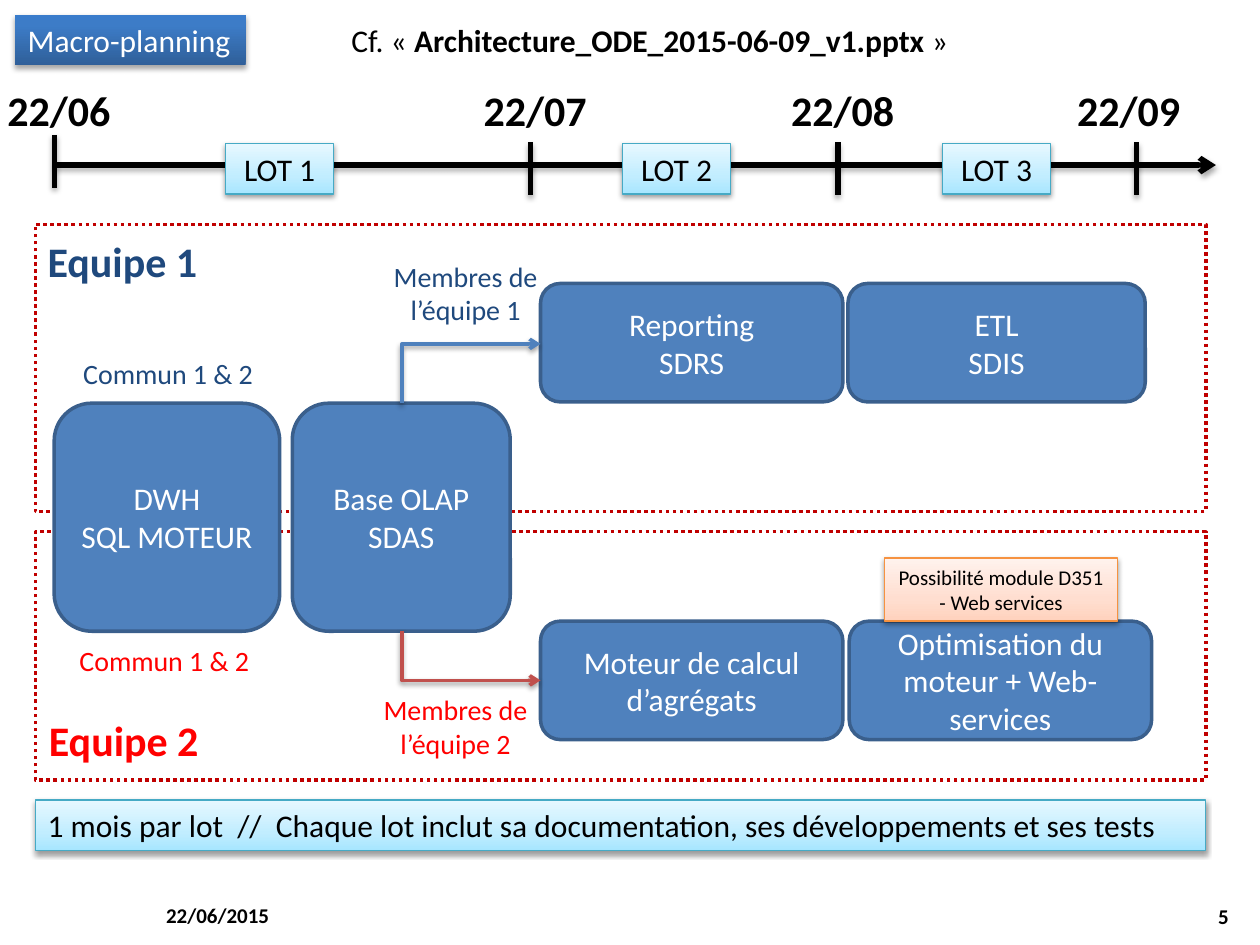
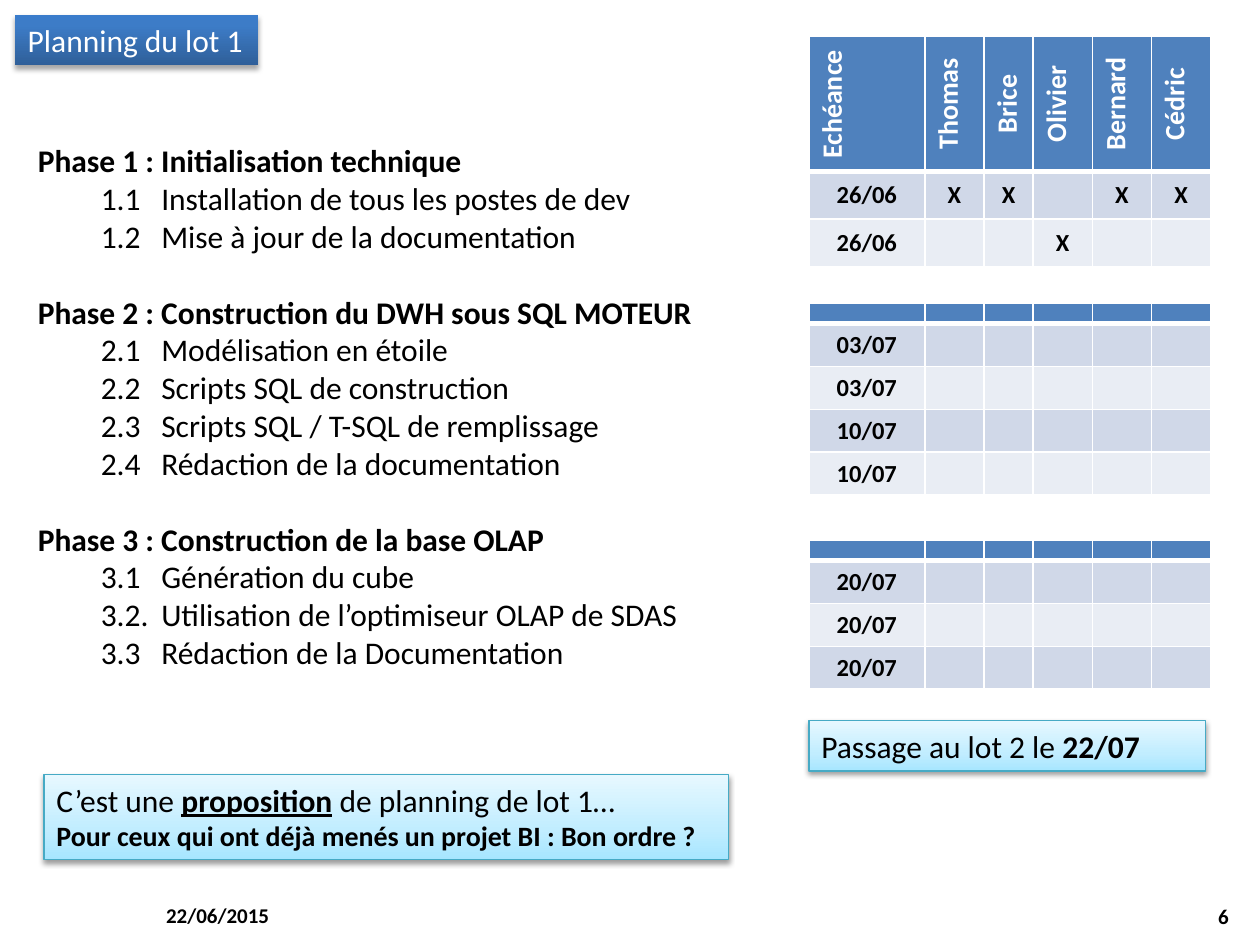
from pptx import Presentation, util as u
from pptx.dml.color import RGBColor
from pptx.enum import dml, shapes, text
from pptx.oxml import parse_xml
from pptx.oxml.ns import nsdecls, qn
from lxml import etree

# ---- shared look ----
FONT = "Calibri"
BLACK, WHITE, BLUE, EDGE = "000000", "FFFFFF", "4F81BD", "3A5F8C"
NAVY, RED, DARK, BRICK = "1F497D", "FF0000", "C00000", "C0504D"
BANDS = ["D0D8E8", "E9EDF4"]
# style: gradient stops, line colour, shadow (opacity, distance)
NAVY_BOX = ([(0, "2F5F99"), (80, "3D7CC7"), (100, "3A7CCB")], None, (35, 1.8))
SKY_BOX = ([(0, "A7E6FF"), (35, "C1EDFF"), (100, "E7F8FF")], "46AAC5", (38, 1.6))
PEACH_BOX = ([(0, "FFD2BD"), (35, "FFDED0"), (100, "FFF2ED")], "F69240", (38, 1.6))
LEFT, MID, RIGHT = (text.PP_ALIGN.LEFT, text.PP_ALIGN.CENTER,
                    text.PP_ALIGN.RIGHT)
DATE = "22/06/2015"
EDGE_L, WIDE, BAR = 0.28, 9.29, 0.4

# ---- slide 1 content ----
# date, tick x, label x, tick top
DATES = [("22/06", 0.43, -0.04, 1.07), ("22/07", 4.21, 3.74, 1.13),
         ("22/08", 6.65, 6.18, 1.13), ("22/09", 9.02, 8.45, 1.13)]
LOTS = [("LOT 1", 1.79), ("LOT 2", 4.94), ("LOT 3", 7.48)]
FRAMES = [(1.78, 2.28), (4.22, 1.97)]
ROWS = {"common": (3.2, 1.81), "top": (2.25, 0.94), "low": (4.93, 0.94)}
CARDS = [("common", 0.43, 1.79, ["DWH", "SQL MOTEUR"]),
         ("common", 2.32, 1.73, ["Base OLAP", "SDAS"]),
         ("top", 4.29, 2.4, ["Reporting", "SDRS"]),
         ("top", 6.73, 2.36, ["ETL", "SDIS"]),
         ("low", 4.29, 2.4, ["Moteur de calcul d’agrégats"]),
         ("low", 6.74, 2.4, ["Optimisation du moteur + Web-services"])]
TEAMS = [("Equipe 1", EDGE_L, 1.82, NAVY), ("Equipe 2", 0.29, 5.62, RED)]
# text, x, y, width, height, colour
NOTES = [("Membres de l’équipe 1", 3.02, 2.01, 1.35, 0.64, NAVY),
         ("Membres de l’équipe 2", 2.94, 5.45, 1.35, 0.64, RED),
         ("Commun 1 & 2", 0.55, 2.78, 1.57, 0.37, NAVY),
         ("Commun 1 & 2", 0.52, 5.06, 1.57, 0.37, RED)]
# start y, end y, colour
ELBOWS = [(3.2, 2.73, BLUE), (5.01, 5.4, BRICK)]
SUMMARY = ("1 mois par lot  //  Chaque lot inclut sa documentation, "
           "ses développements et ses tests")

# ---- slide 2 content ----
PHASES = [
    ("Phase 1 : Initialisation technique",
     [("1.1", "Installation de tous les postes de dev"),
      ("1.2", "Mise à jour de la documentation")]),
    ("Phase 2 : Construction du DWH sous SQL MOTEUR",
     [("2.1", "Modélisation en étoile"),
      ("2.2", "Scripts SQL de construction"),
      ("2.3", "Scripts SQL / T-SQL de remplissage"),
      ("2.4", "Rédaction de la documentation")]),
    ("Phase 3 : Construction de la base OLAP",
     [("3.1", "Génération du cube"),
      ("3.2.", "Utilisation de l’optimiseur OLAP de SDAS"),
      ("3.3", "Rédaction de la Documentation")])]
COLS = [0.92, 0.47, 0.39, 0.47, 0.47, 0.47]
HEAD = ["Echéance", "Thomas", "Brice", "Olivier", "Bernard", "Cédric"]
NONE = [""] * 6
# top, head height, row height, rows of cells
GRIDS = [
    (0.29, 1.07, 0.38, [HEAD, ["26/06", "X", "X", "", "X", "X"],
                        ["26/06", "", "", "X", "", ""]]),
    (2.41, 0.16, 0.34, [NONE] + [[d] + NONE[1:] for d in
                                 ("03/07", "03/07", "10/07", "10/07")]),
    (4.29, 0.16, 0.34, [NONE] + [["20/07"] + NONE[1:]] * 3)]


# ---- helpers ----
def rgb(code):
    return RGBColor.from_string(code)


def inch(*nums):
    return [u.Inches(n) for n in nums]


def run(par, words, size=18, color=BLACK, bold=False, under=False):
    r = par.add_run()
    r.text = words
    f = r.font
    f.name, f.size, f.bold, f.underline = FONT, u.Pt(size), bold, under
    f.color.rgb = rgb(color)


def write(shape, lines, align=LEFT, anchor=text.MSO_ANCHOR.TOP, wrap=True):
    """Each line is a list of (words, size, colour, bold, underline) runs."""
    tf = shape.text_frame
    tf.word_wrap, tf.vertical_anchor = wrap, anchor
    for i, line in enumerate(lines):
        par = tf.add_paragraph() if i else tf.paragraphs[0]
        par.alignment = align
        for part in line:
            run(par, *part)


def label(slide, box, lines, **how):
    write(slide.shapes.add_textbox(*inch(*box)), lines, **how)


def shade(props, alpha, dist, blur=3.1):
    """Soft black shadow straight below."""
    old = props.find(qn("a:effectLst"))
    if old is not None:
        props.remove(old)
    props.append(parse_xml(
        f'<a:effectLst {nsdecls("a")}><a:outerShdw blurRad="{u.Pt(blur)}" '
        f'dist="{u.Pt(dist)}" dir="5400000" rotWithShape="0">'
        f'<a:srgbClr val="{BLACK}"><a:alpha val="{alpha * 1000}"/></a:srgbClr>'
        '</a:outerShdw></a:effectLst>'))


def paint(shape, style):
    """Gradient from bottom to top, thin edge and shadow."""
    stops, edge, glow = style
    shape.fill.background()
    props = shape._element.spPr
    gs = "".join(f'<a:gs pos="{p * 1000}"><a:srgbClr val="{c}"/></a:gs>'
                 for p, c in stops)
    props.replace(props.find(qn("a:noFill")), parse_xml(
        f'<a:gradFill {nsdecls("a")} rotWithShape="1"><a:gsLst>{gs}</a:gsLst>'
        '<a:lin ang="16200000" scaled="0"/></a:gradFill>'))
    outline(shape, edge, 0.75)
    shade(props, *glow)


def outline(shape, color, width):
    if color is None:
        shape.line.fill.background()
    else:
        shape.line.color.rgb = rgb(color)
        shape.line.width = u.Pt(width)


def block(slide, box, kind="RECTANGLE"):
    s = slide.shapes.add_shape(getattr(shapes.MSO_SHAPE, kind), *inch(*box))
    s.shadow.inherit = False
    return s


def panel(slide, box, style, lines, align=LEFT):
    s = block(slide, box)
    paint(s, style)
    write(s, lines, align)


def wire(slide, ends, color, width, glow, arrow=False):
    c = slide.shapes.add_connector(shapes.MSO_CONNECTOR.STRAIGHT, *inch(*ends))
    outline(c, color, width)
    props = c._element.spPr
    if arrow:
        etree.SubElement(props.find(qn("a:ln")), qn("a:tailEnd"), type="arrow")
    shade(props, *glow)
    return props


def elbow(slide, x, y, x2, y2, color):
    """Goes up or down first, then right: a turned two-leg connector."""
    w, h = abs(y2 - y), x2 - x
    left, top = (x + x2 - w) / 2, (y + y2 - h) / 2
    props = wire(slide, (left, top, left + w, top + h), color, 2,
                 (38, 1.6), True)
    props.find(qn("a:prstGeom")).set("prst", "bentConnector2")
    form = props.find(qn("a:xfrm"))
    form.set("flipH", "1")
    if y2 < y:
        form.set("flipV", "1")
    form.set("rot", str((90 if y2 < y else 270) * 60000))


def start(deck, layout, title, width, number):
    """New slide with its title band, date and number."""
    slide = deck.slides.add_slide(deck.slide_layouts[layout])
    t = slide.shapes.title
    t.left, t.top, t.width, t.height = inch(0.12, 0.12, width, BAR)
    paint(t, NAVY_BOX)
    write(t, [[(title, 18, WHITE)]], wrap=False)
    for x, y, words, side in ((1.22, 7.06, DATE, LEFT),
                              (7.52, 7.07, str(number), RIGHT)):
        label(slide, (x, y, 2.33, BAR), [[(words, 12, BLACK, True)]],
              align=side, anchor=text.MSO_ANCHOR.MIDDLE)
    return slide


def border(props, side, width):
    ln = etree.SubElement(props, qn("a:ln" + side), w=str(u.Pt(width)))
    fill = etree.SubElement(ln, qn("a:solidFill"))
    etree.SubElement(fill, qn("a:srgbClr"), val=WHITE)


def grid(slide, top, head, high, rows):
    tall = head + high * (len(rows) - 1)
    tab = slide.shapes.add_table(len(rows), len(COLS), *inch(
        6.42, top, sum(COLS), tall)).table
    for col, w in zip(tab.columns, COLS):
        col.width = u.Inches(w)
    for i, row in enumerate(rows):
        tab.rows[i].height = u.Inches(high if i else head)
        for j, words in enumerate(row):
            cell = tab.cell(i, j)
            props = cell._tc.get_or_add_tcPr()
            for side in "LRTB":
                thick = (side, i) in (("B", 0), ("T", 1))
                border(props, side, 3 if thick else 1)
            cell.fill.solid()
            cell.fill.fore_color.rgb = rgb(BANDS[(i - 1) % 2] if i else BLUE)
            cell.vertical_anchor = text.MSO_ANCHOR.MIDDLE
            par = cell.text_frame.paragraphs[0]
            par.alignment = MID if i or j else LEFT
            if not words:  # an empty cell must not stretch its row
                etree.SubElement(par._p, qn("a:endParaRPr"),
                                 sz="1400" if i else "200")
            elif i:
                run(par, words, 14, BLACK, True)
            else:
                props.set("vert", "vert270")
                run(par, words, 16, WHITE, True)


def phases(body):
    body.left, body.top, body.width, body.height = inch(0.2, 1.07, 6.2, 4.34)
    lines = []
    for name, steps in PHASES:
        lines.append([(name, 18, BLACK, True)])
        lines += [[(f"{n}\t{step}",)] for n, step in steps]
    write(body, lines)
    for i, par in enumerate(body.text_frame.paragraphs):
        main = par.runs[0].font.bold
        par.space_before = u.Pt(21.7 if main and i else 0)
        props = par._p.get_or_add_pPr()
        props.set("marL", str(u.Inches(0 if main else 0.98)))
        props.set("indent", str(u.Inches(0 if main else -0.48)))
        etree.SubElement(props, qn("a:buNone"))


deck = Presentation()
deck.slide_width, deck.slide_height = inch(10, 7.5)

# ---- slide 1: macro planning ----
s = start(deck, 5, "Macro-planning", 1.83, 5)
label(s, (2.69, 0.12, 4.98, BAR),
      [[("Cf. «\u00a0",), ("Architecture_ODE_2015-06-09_v1.pptx", 18, BLACK, True),
        ("\u00a0»",)]], wrap=False)
for top, high in FRAMES:
    f = block(s, (EDGE_L, top, WIDE, high))
    f.fill.background()
    outline(f, DARK, 2)
    f.line.dash_style = dml.MSO_LINE.ROUND_DOT
for row, x, w, lines in CARDS:
    top, high = ROWS[row]
    card = block(s, (x, top, w, high), "ROUNDED_RECTANGLE")
    card.fill.solid()
    card.fill.fore_color.rgb = rgb(BLUE)
    outline(card, EDGE, 2)
    write(card, [[(words, 18, WHITE)] for words in lines], MID,
          text.MSO_ANCHOR.MIDDLE)
for words, x, y, color in TEAMS:
    label(s, (x, y, 3.63, 0.5), [[(words, 24, color, True)]])
for words, x, y, w, h, color in NOTES:
    label(s, (x, y, w, h), [[(words, 16, color)]], align=MID)
for y, y2, color in ELBOWS:
    elbow(s, 3.19, y, 4.29, y2, color)

# timeline
wire(s, (0.43, 1.31, 9.65, 1.31), BLACK, 3, (35, 1.8), True)
for day, x, left, top in DATES:
    label(s, (left, 0.62, 1.12, 0.5), [[(day, 24, BLACK, True)]])
    wire(s, (x, top, x, top + 0.42), BLACK, 3, (35, 1.8))
for lot, x in LOTS:
    panel(s, (x, 1.14, 0.86, BAR), SKY_BOX, [[(lot,)]], MID)
panel(s, (EDGE_L, 6.35, WIDE, BAR), SKY_BOX, [[(SUMMARY,)]])
panel(s, (7.02, 4.43, 1.85, 0.5), PEACH_BOX,
      [[("Possibilité module D351 - Web services", 12)]], MID)

# ---- slide 2: planning of the first lot ----
s = start(deck, 1, "Planning du lot 1", 1.93, 6)
phases(s.placeholders[1])
for spec_row in GRIDS:
    grid(s, *spec_row)
panel(s, (6.42, 5.72, 3.15, BAR), SKY_BOX,
      [[("Passage au lot 2 le ",), ("22/07", 18, BLACK, True)]])
panel(s, (0.35, 6.15, 5.43, 0.67), SKY_BOX,
      [[("C’est une ",), ("proposition", 18, BLACK, True, True),
        (" de planning de lot 1…",)],
       [("Pour ceux qui ont déjà menés un projet BI : Bon ordre ?",
         16, BLACK, True)]])

deck.save("out.pptx")
